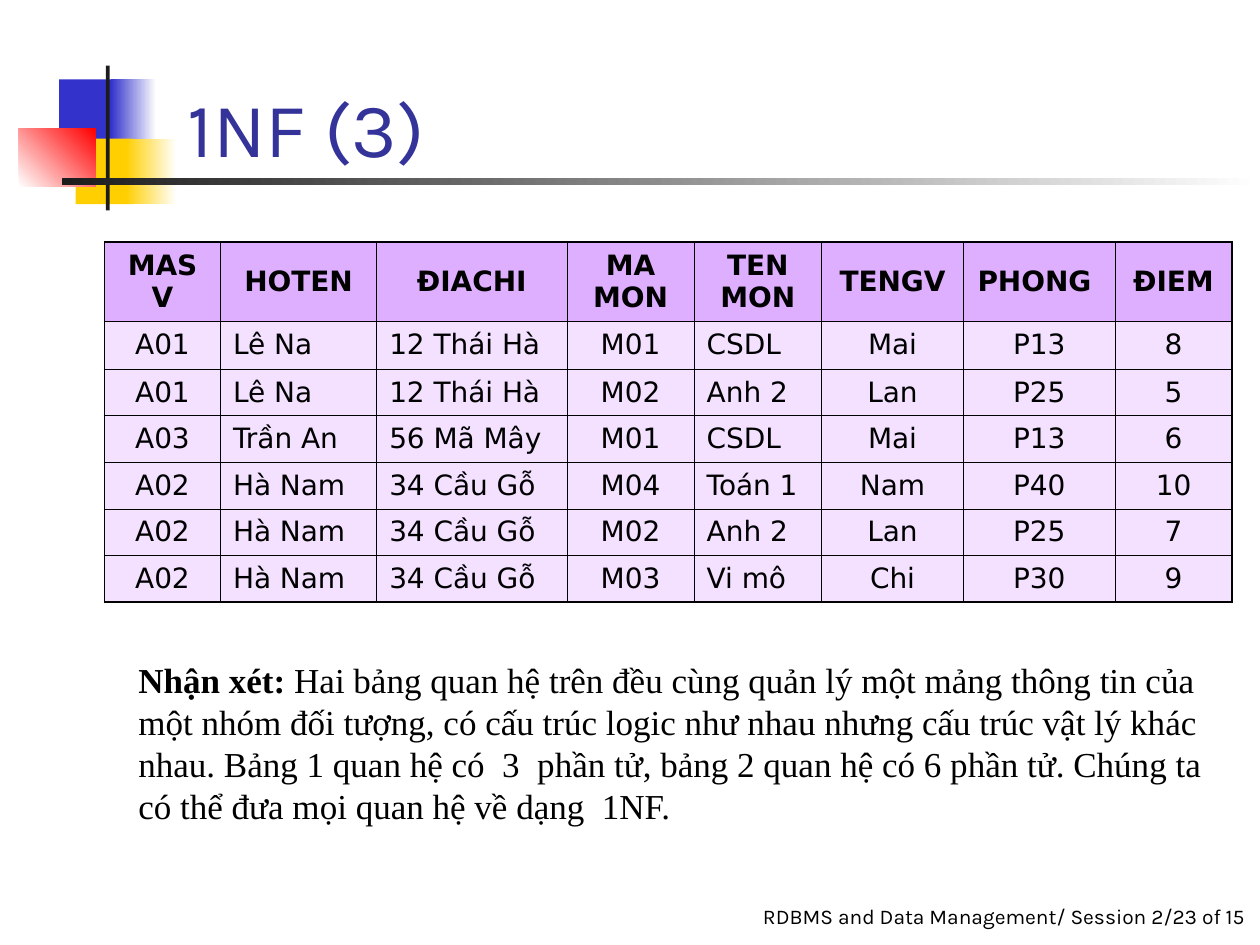
from lxml import etree
from pptx import Presentation
from pptx.dml.color import RGBColor
from pptx.enum.shapes import MSO_SHAPE
from pptx.enum.text import MSO_ANCHOR, MSO_AUTO_SIZE, PP_ALIGN
from pptx.oxml.ns import qn
from pptx.util import Inches, Pt

RECTANGLE = MSO_SHAPE.RECTANGLE
LEFT, CENTER = PP_ALIGN.LEFT, PP_ALIGN.CENTER
TOP, MIDDLE, BOTTOM = MSO_ANCHOR.TOP, MSO_ANCHOR.MIDDLE, MSO_ANCHOR.BOTTOM
NO_AUTOFIT = MSO_AUTO_SIZE.NONE

TITLE = "1NF (3)"
FOOTER = "RDBMS and Data Management/ Session 2/23 of 15"
REMARK_LABEL = "Nhận xét:"
REMARK = (
    " Hai bảng quan hệ trên đều cùng quản lý một mảng thông tin của một nhóm đối tượng, "
    "có cấu trúc logic như nhau nhưng cấu trúc vật lý khác nhau. Bảng 1 quan hệ có  3  phần tử, "
    "bảng 2 quan hệ có 6 phần tử. Chúng ta có thể đưa mọi quan hệ về dạng  1NF."
)
RECORDS = [
    ("MASV", "HOTEN", "ĐIACHI", "MA MON", "TEN MON", "TENGV", "PHONG ", "ĐIEM"),
    ("A01", "Lê Na", "12 Thái Hà", "M01", "CSDL", "Mai", "P13", "8"),
    ("A01", "Lê Na", "12 Thái Hà", "M02", "Anh 2", "Lan", "P25", "5"),
    ("A03", "Trần An", "56 Mã Mây", "M01", "CSDL", "Mai", "P13", "6"),
    ("A02", "Hà Nam", "34 Cầu Gỗ", "M04", "Toán 1", "Nam", "P40", "10"),
    ("A02", "Hà Nam", "34 Cầu Gỗ", "M02", "Anh 2", "Lan", "P25", "7"),
    ("A02", "Hà Nam", "34 Cầu Gỗ", "M03", "Vi mô", "Chi", "P30", "9"),
]
COLUMN_WIDTHS = [0.92, 1.24, 1.51, 1.01, 1.01, 1.13, 1.2, 0.93]
ROW_HEIGHTS = [0.63, 0.38] + [0.37] * 5
LEFT_ALIGNED_COLUMNS = {1, 2, 4}
TABLE_LEFT, TABLE_TOP = 0.83, 1.92
OUTER_LINE, INNER_LINE = 1.08, 0.45

ORNAMENT = [
    ((0.47, 0.63, 0.48, 0.52), ["3333CC"], 0),
    ((0.88, 0.63, 0.36, 0.52), ["3333CC", "FFFFFF"], 0),
    ((0.6, 1.1, 0.46, 0.52), ["FFCF01"], 0),
    ((1, 1.1, 0.4, 0.52), ["FFCF01", "FFFFFF"], 0),
    ((0.15, 1.02, 0.61, 0.46), ["FFFFFF", "FF0000"], 45),
    ((0.84, 0.52, 0.03, 1.15), ["1C1C1C"], 0),
    ((0.49, 1.41, 9.51, 0.06), ["1C1C1C", "FFFFFF"], 0),
]

TITLE_FONT = {"name": "Karla", "size": Pt(44), "bold": False}
FOOTER_FONT = {"name": "Karla", "size": Pt(12)}
REMARK_FONT = {"name": "Times New Roman", "size": Pt(20)}
TABLE_FONT = {"name": "DejaVu Sans", "size": Pt(16)}


def set_color(color_format, hex_color):
    color_format.rgb = RGBColor.from_string(hex_color)


def fill_solid(fill, hex_color):
    fill.solid()
    set_color(fill.fore_color, hex_color)


def format_font(font, values, hex_color="000000"):
    for name, value in values.items():
        setattr(font, name, value)
    set_color(font.color, hex_color)


def place(shape, box):
    for name, value in zip(("left", "top", "width", "height"), box):
        setattr(shape, name, Inches(value))


def format_frame(frame, anchor):
    values = {"word_wrap": True, "auto_size": NO_AUTOFIT, "vertical_anchor": anchor}
    for name, value in values.items():
        setattr(frame, name, value)


def add_ornament(slide):
    group = slide.shapes.add_group_shape()
    for box, colors, angle in ORNAMENT:
        shape = group.shapes.add_shape(RECTANGLE, *map(Inches, box))
        shape.shadow.inherit = False
        shape.line.fill.background()
        if len(colors) == 1:
            fill_solid(shape.fill, colors[0])
            continue
        shape.fill.gradient()
        shape.fill.gradient_angle = angle
        for stop, color in zip(shape.fill.gradient_stops, colors):
            set_color(stop.color, color)


def add_title(slide):
    title = slide.shapes.title
    place(title, (1.39, 0.17, 8.52, 1.25))
    format_frame(title.text_frame, BOTTOM)
    title.text_frame.text = TITLE
    paragraph = title.text_frame.paragraphs[0]
    paragraph.alignment = LEFT
    format_font(paragraph.runs[0].font, TITLE_FONT, "333399")


def add_text(slide, box, runs, values, anchor, alignment):
    frame = slide.shapes.add_textbox(*map(Inches, box)).text_frame
    format_frame(frame, anchor)
    paragraph = frame.paragraphs[0]
    paragraph.alignment = alignment
    for text, bold in runs:
        run = paragraph.add_run()
        run.text = text
        format_font(run.font, {**values, "bold": bold})
    return frame


def set_borders(cell, widths):
    properties = cell._tc.get_or_add_tcPr()
    for side, width in widths.items():
        line = etree.SubElement(properties, qn(f"a:ln{side}"), w=str(Pt(width)))
        fill = etree.SubElement(line, qn("a:solidFill"))
        etree.SubElement(fill, qn("a:srgbClr"), val="000000")


def add_records(slide):
    row_count, column_count = len(RECORDS), len(COLUMN_WIDTHS)
    box = (TABLE_LEFT, TABLE_TOP, sum(COLUMN_WIDTHS), sum(ROW_HEIGHTS))
    table = slide.shapes.add_table(row_count, column_count, *map(Inches, box)).table
    table.horz_banding = False
    for column, width in zip(table.columns, COLUMN_WIDTHS):
        column.width = Inches(width)
    for row, height in zip(table.rows, ROW_HEIGHTS):
        row.height = Inches(height)
    for row_index, record in enumerate(RECORDS):
        header = row_index == 0
        for column_index, text in enumerate(record):
            cell = table.cell(row_index, column_index)
            outer_sides = {
                "L": column_index == 0,
                "R": column_index == column_count - 1,
                "T": header,
                "B": row_index == row_count - 1,
            }
            set_borders(cell, {side: OUTER_LINE if outer else INNER_LINE
                               for side, outer in outer_sides.items()})
            fill_solid(cell.fill, "DFAFFF" if header else "F3E1FF")
            cell.vertical_anchor = MIDDLE
            cell.text = text
            paragraph = cell.text_frame.paragraphs[0]
            left_aligned = not header and column_index in LEFT_ALIGNED_COLUMNS
            paragraph.alignment = LEFT if left_aligned else CENTER
            format_font(paragraph.runs[0].font, {**TABLE_FONT, "bold": header})


def main():
    presentation = Presentation()
    presentation.slide_width, presentation.slide_height = Inches(10), Inches(7.5)
    slide = presentation.slides.add_slide(presentation.slide_layouts[5])
    footer = add_text(slide, (5.92, 7.12, 4, 0.33), [(FOOTER, False)], FOOTER_FONT, TOP, CENTER)
    footer.margin_right = 0
    add_ornament(slide)
    add_title(slide)
    remark_runs = [(REMARK_LABEL, True), (REMARK, False)]
    add_text(slide, (1, 5.17, 8.67, 1.44), remark_runs, REMARK_FONT, MIDDLE, LEFT)
    add_records(slide)
    presentation.save("out.pptx")


if __name__ == "__main__":
    main()
